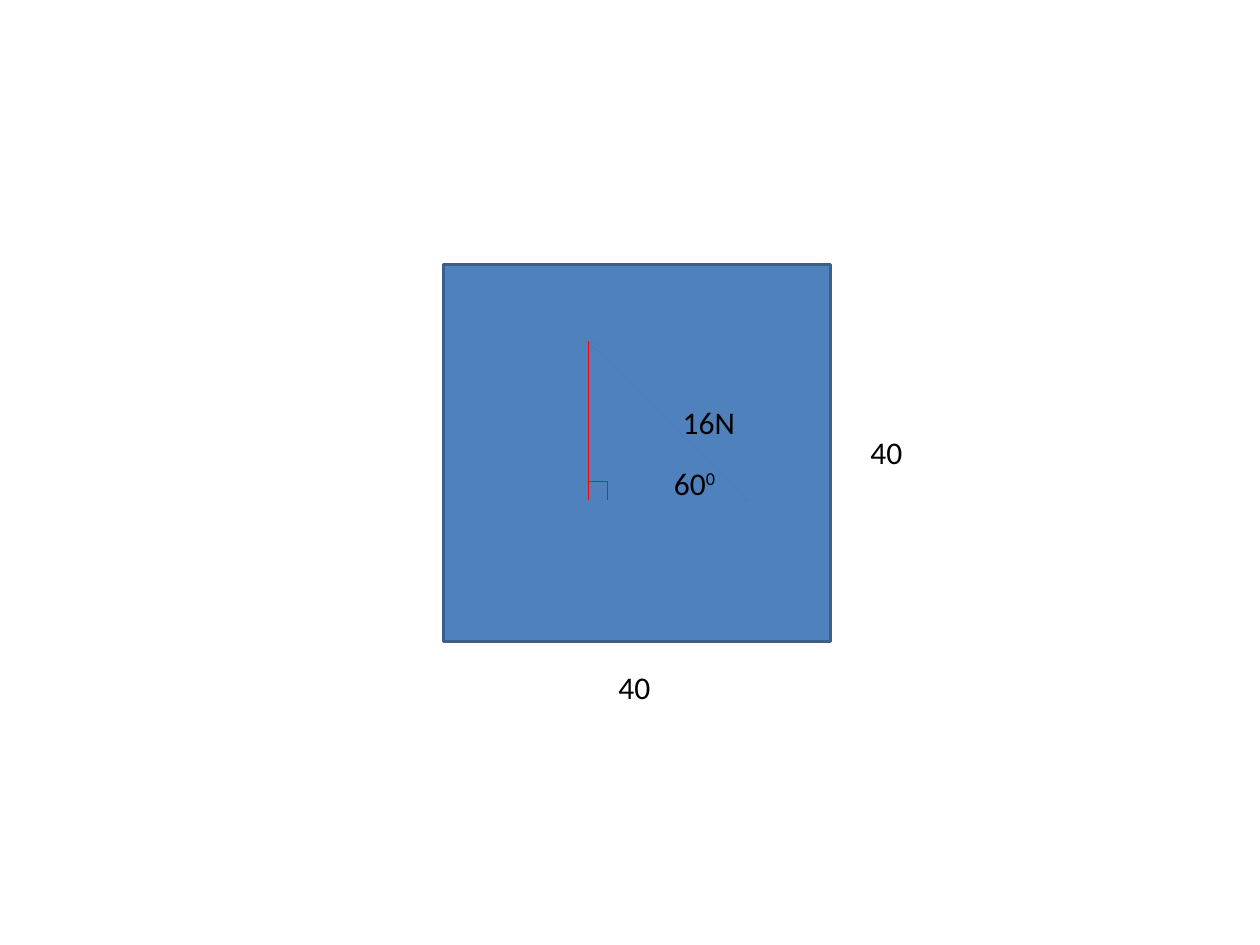
from lxml.etree import SubElement as Sub
from pptx import Presentation
from pptx.dml.color import RGBColor
from pptx.enum.dml import MSO_LINE as Dash
from pptx.enum.shapes import MSO_CONNECTOR as Link, MSO_SHAPE as Form
from pptx.enum.text import MSO_AUTO_SIZE as Fit
from pptx.oxml.ns import qn
from pptx.util import Inches, Pt

FILL = RGBColor(0x4F, 0x81, 0xBD)
EDGE = RGBColor(0x3A, 0x5F, 0x8C)
BLUE = RGBColor(0x4B, 0x7E, 0xBC)
RED = RGBColor(0xFF, 0x00, 0x00)
BLACK = RGBColor(0x00, 0x00, 0x00)
FONT = {"name": "Calibri", "size": Pt(18)}
FRAME = {"word_wrap": False, "auto_size": Fit.SHAPE_TO_FIT_TEXT}


def style(item, form):
    for key, value in form.items():
        setattr(item, key, value)


def add_plate(slide, left, top, width, height):
    box = [Inches(n) for n in (left, top, width, height)]
    plate = slide.shapes.add_shape(Form.RECTANGLE, *box)
    plate.shadow.inherit = False
    plate.fill.solid()
    plate.fill.fore_color.rgb = FILL
    plate.line.color.rgb = EDGE
    plate.line.width = Pt(2)


def add_line(slide, start, end, color, dash=None, arrow=False):
    ends = [Inches(n) for n in (*start, *end)]
    link = slide.shapes.add_connector(Link.STRAIGHT, *ends)
    link.line.color.rgb = color
    style(link.line, {"width": Pt(0.75), "dash_style": dash})
    if arrow:
        Sub(link.line._get_or_add_ln(), qn("a:tailEnd"), type="arrow")
    Sub(link._element.spPr, qn("a:effectLst"))


def add_label(slide, left, top, width, text, power=""):
    box = [Inches(n) for n in (left, top, width, 0.4)]
    frame = slide.shapes.add_textbox(*box).text_frame
    style(frame, FRAME)
    line = frame.paragraphs[0]
    for part, base in ((text, "0"), (power, "30000")):
        if part:
            run = line.add_run()
            run.text = part
            style(run.font, FONT)
            run.font.color.rgb = BLACK
            run._r.get_or_add_rPr().set("baseline", base)


def main():
    deck = Presentation()
    style(deck, {"slide_width": Inches(10), "slide_height": Inches(7.5)})
    slide = deck.slides.add_slide(deck.slide_layouts[6])
    add_plate(slide, 3.52, 2.1, 3.07, 2.99)

    top, foot = (4.67, 2.71), (4.67, 3.97)
    add_line(slide, (5.93, 3.97), top, BLUE, arrow=True)
    add_label(slide, 5.32, 3.15, 0.62, "16N")
    add_label(slide, 5.25, 3.63, 0.6, "60", "0")
    add_line(slide, (5.94, 3.97), (4.05, 3.97), BLUE, Dash.DASH)
    add_line(slide, top, foot, RED)
    side = 0.15
    x, y = foot[0] + side, foot[1] - side
    add_line(slide, (foot[0], y), (x, y), RED)
    add_line(slide, (x, y), (x, foot[1]), RED)

    for left, high in ((4.81, 5.25), (6.81, 3.39)):
        add_label(slide, left, high, 0.46, "40")
    deck.save("out.pptx")


if __name__ == "__main__":
    main()
